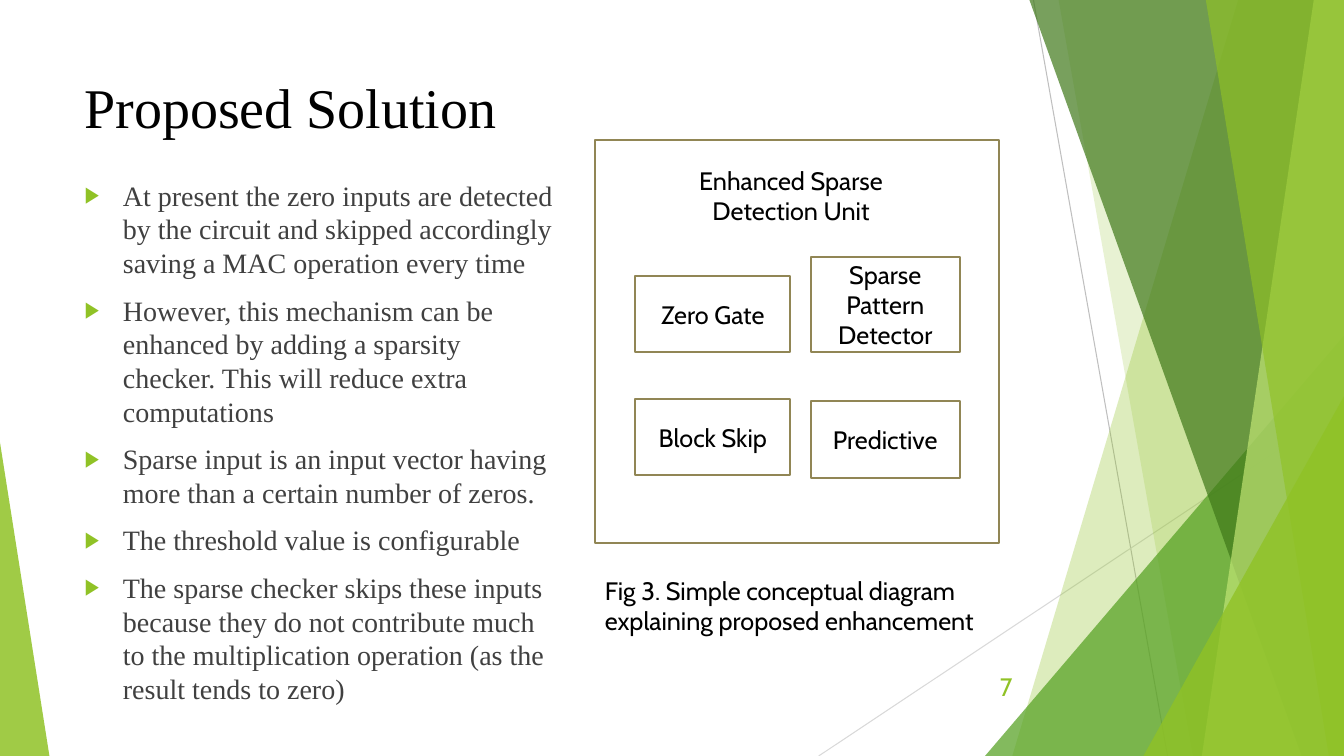
from dataclasses import dataclass

from lxml import etree
from pptx import Presentation
from pptx.dml.color import RGBColor
from pptx.enum.shapes import MSO_CONNECTOR, MSO_SHAPE
from pptx.enum.text import MSO_ANCHOR, PP_ALIGN
from pptx.oxml.ns import qn
from pptx.util import Inches, Pt

STRAIGHT = MSO_CONNECTOR.STRAIGHT
RECTANGLE = MSO_SHAPE.RECTANGLE
TRIANGLE = MSO_SHAPE.ISOSCELES_TRIANGLE
TOP, MIDDLE = MSO_ANCHOR.TOP, MSO_ANCHOR.MIDDLE
LEFT, CENTER, RIGHT = PP_ALIGN.LEFT, PP_ALIGN.CENTER, PP_ALIGN.RIGHT


@dataclass(frozen=True)
class Theme:
    serif: str = "Times New Roman"
    sans: str = "Cabin"
    title_size: int = 40
    body_size: int = 20
    label_size: int = 18
    black: str = "000000"
    white: str = "FFFFFF"
    body: str = "404040"
    green: str = "90C226"
    leaf: str = "54A021"
    forest: str = "3F7819"
    lime: str = "C0E474"
    outline: str = "918655"
    dark_line: str = "BFBFBF"
    pale_line: str = "D9D9D9"


THEME = Theme()
WIDTH, HEIGHT = 13.33, 7.5

POINTS = [
    "At present the zero inputs are detected by the circuit and skipped accordingly saving a MAC operation every time",
    "However, this mechanism can be enhanced by adding a sparsity checker. This will reduce extra computations",
    "Sparse input is an input vector having more than a certain number of zeros.",
    "The threshold value is configurable",
    "The sparse checker skips these inputs because they do not contribute much to the multiplication operation "
    "(as the result tends to zero)",
]


def inches(*lengths):
    return [Inches(length) for length in lengths]


def color(name):
    return RGBColor.from_string(name)


def paint(shape, fill, opacity=100, line=None):
    shape.shadow.inherit = False
    shape.fill.solid()
    shape.fill.fore_color.rgb = color(fill)
    if opacity < 100:
        tint = shape.fill._xPr.find(qn("a:solidFill"))[0]
        etree.SubElement(tint, qn("a:alpha"), val=str(opacity * 1000))
    if line:
        shape.line.color.rgb = color(line)
        shape.line.width = Pt(1.5)
    else:
        shape.line.fill.background()


def write(shape, texts, font, size, ink, align=LEFT, anchor=TOP):
    frame = shape.text_frame
    frame.word_wrap = True
    frame.vertical_anchor = anchor
    for index, text in enumerate(texts):
        para = frame.paragraphs[0] if index == 0 else frame.add_paragraph()
        para.text = text
        para.alignment = align
        para.font.name = font
        para.font.size = Pt(size)
        para.font.color.rgb = color(ink)
    return frame.paragraphs


def add_text(page, box, texts, font, size, ink, align=LEFT, anchor=TOP):
    shape = page.shapes.add_textbox(*inches(*box))
    return write(shape, texts, font, size, ink, align, anchor)


def add_ray(page, start, end, ink):
    ray = page.shapes.add_connector(STRAIGHT, *inches(*start, *end))
    ray.line.color.rgb = color(ink)
    ray.line.width = Pt(0.75)
    etree.SubElement(ray._element.spPr, qn("a:effectLst"))


def add_band(page, box, top_left, bottom_left, fill, opacity):
    left, top, width, height = box
    right, bottom = left + width, top + height
    builder = page.shapes.build_freeform(*inches(top_left, top), scale=1.0)
    corners = [(right, top), (right, bottom), (bottom_left, bottom)]
    builder.add_line_segments([inches(*corner) for corner in corners], close=True)
    paint(builder.convert_to_shape(), fill, opacity)


def add_wedge(page, box, apex, fill, opacity):
    wedge = page.shapes.add_shape(TRIANGLE, *inches(*box))
    wedge.adjustments[0] = apex
    paint(wedge, fill, opacity)


def add_backdrop(page, box):
    left, top, width, height = box
    right, bottom = left + width, top + height

    def band(top_left, bottom_left, fill, opacity):
        start = min(top_left, bottom_left)
        add_band(page, (start, top, right - start, height), top_left, bottom_left, fill, opacity)

    def corner(wide, tall, fill, opacity):
        add_wedge(page, (right - wide, bottom - tall, wide, tall), 1, fill, opacity)

    add_ray(page, (10.25, top), (11.58, bottom), THEME.dark_line)
    add_ray(page, (right, 4.03), (8.12, bottom), THEME.pale_line)
    band(12.28, 10.04, THEME.green, 30)
    band(10.5, 11.83, THEME.green, 20)
    corner(3.56, 4.17, THEME.leaf, 72)
    band(10.21, 12.91, THEME.forest, 70)
    band(13.03, 11.92, THEME.lime, 70)
    band(11.96, 13.18, THEME.green, 65)
    corner(1.99, 3.57, THEME.green, 80)
    add_wedge(page, (left, bottom - 3.11, 0.49, 3.11), 0, THEME.green, 85)


def add_bullets(page, box):
    paras = add_text(page, box, POINTS, THEME.serif, THEME.body_size, THEME.body)
    for para in paras:
        para.space_before = Pt(10)
        props = para._p.get_or_add_pPr()
        props.set("marL", str(Inches(0.38)))
        props.set("indent", str(-Inches(0.38)))
        tint = etree.SubElement(props, qn("a:buClr"))
        etree.SubElement(tint, qn("a:srgbClr"), val=THEME.green)
        etree.SubElement(props, qn("a:buSzPct"), val="80000")
        etree.SubElement(props, qn("a:buFont"), typeface="Arial")
        etree.SubElement(props, qn("a:buChar"), char="▶")
        defaults = props.find(qn("a:defRPr"))
        props.remove(defaults)
        props.append(defaults)


def add_diagram(page, box):
    left, top, width, height = box
    units = [
        ("Zero Gate", 0.4, 1.35, 1.54, 0.75),
        ("Sparse Pattern Detector", 2.14, 1.16, 1.48, 0.94),
        ("Block Skip", 0.4, 2.57, 1.54, 0.75),
        ("Predictive", 2.14, 2.59, 1.48, 0.76),
    ]
    label = (THEME.sans, THEME.label_size, THEME.black)
    border = page.shapes.add_shape(RECTANGLE, *inches(*box))
    paint(border, THEME.white, line=THEME.outline)
    for name, across, down, wide, tall in units:
        unit = page.shapes.add_shape(RECTANGLE, *inches(left + across, top + down, wide, tall))
        paint(unit, THEME.white, line=THEME.outline)
        write(unit, [name], *label, CENTER, MIDDLE)
    add_text(page, (left + 0.39, top + 0.2, 3.11, 0.71), ["Enhanced Sparse Detection Unit"], *label, CENTER)
    caption = "Fig 3. Simple conceptual diagram explaining proposed enhancement"
    add_text(page, (left, top + height + 0.27, width, 1.01), [caption], *label)


def build_solution_page(page, box):
    left, top, width, height = box
    add_backdrop(page, box)
    add_text(page, (left + 0.74, top + 0.67, 9.4, 1.44), ["Proposed Solution"],
             THEME.serif, THEME.title_size, THEME.black)
    add_text(page, (left + 9.39, top + 6.61, 0.75, 0.4), ["7"],
             THEME.sans, THEME.label_size, THEME.green, RIGHT, MIDDLE)
    add_diagram(page, (left + 5.9, top + 1.39, 4.01, 4))
    add_bullets(page, (left + 0.74, top + 1.72, 4.91, 4.88))


def main():
    deck = Presentation()
    deck.slide_width, deck.slide_height = inches(WIDTH, HEIGHT)
    page = deck.slides.add_slide(deck.slide_layouts[6])
    build_solution_page(page, (0, 0, WIDTH, HEIGHT))
    deck.save("out.pptx")


if __name__ == "__main__":
    main()
